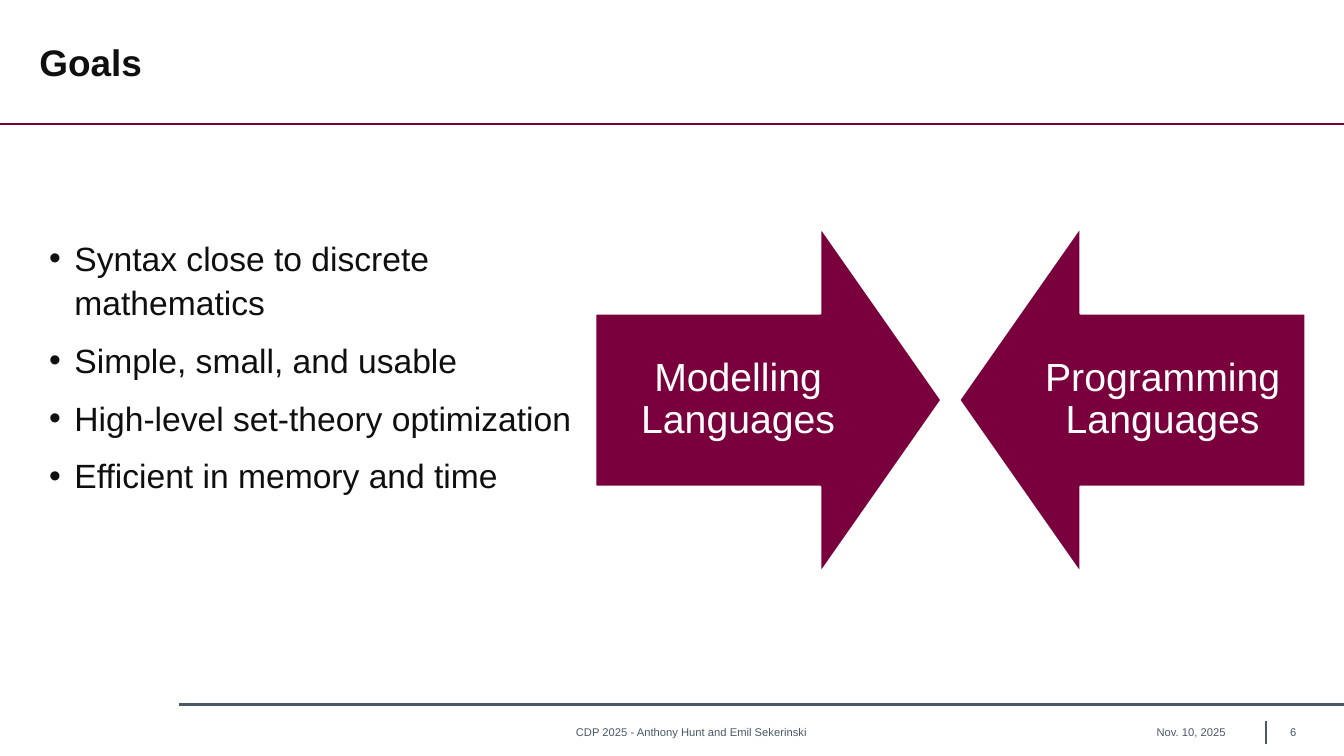
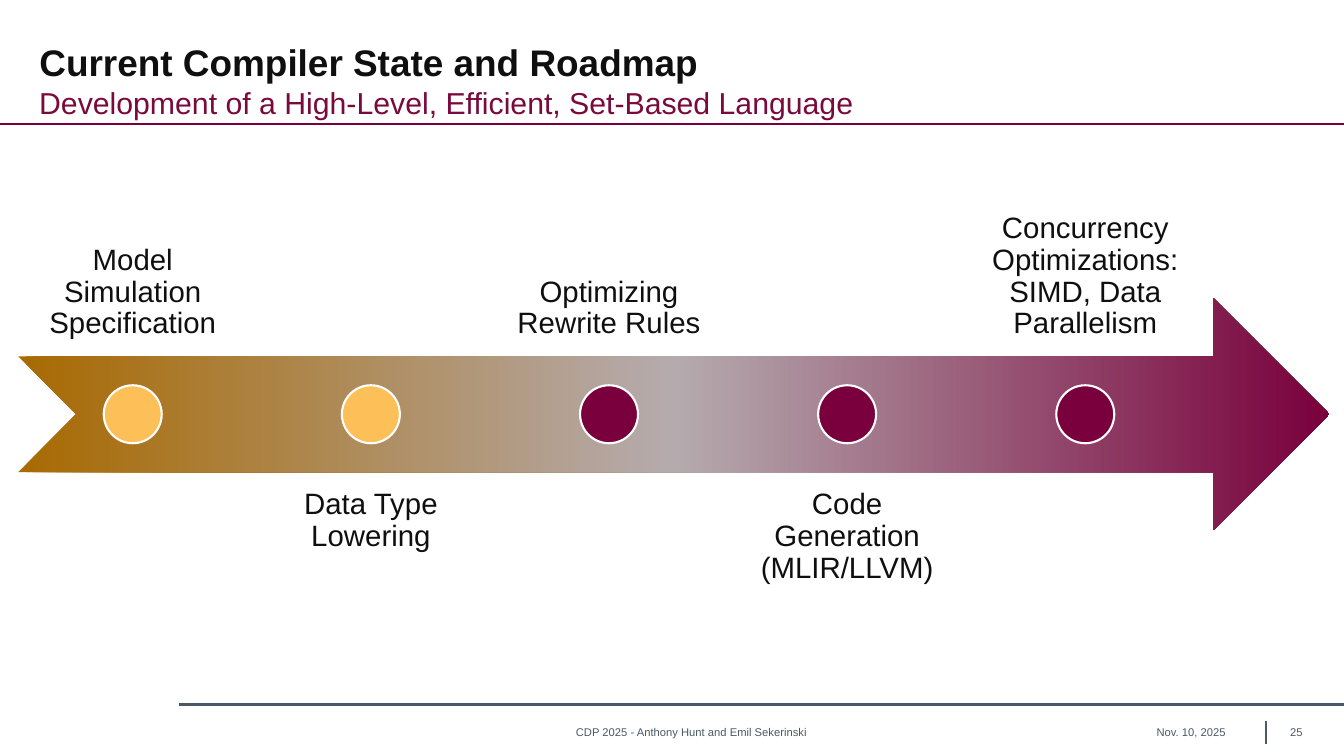
"""Build two slides: the goals of the language and the compiler roadmap."""
from copy import deepcopy

from lxml.etree import SubElement
from pptx import Presentation
from pptx.dml.color import RGBColor
from pptx.enum.shapes import MSO_SHAPE as Preset
from pptx.enum.text import MSO_ANCHOR as Anchor, MSO_AUTO_SIZE as AutoSize, PP_ALIGN as Align
from pptx.oxml.ns import qn
from pptx.util import Pt

COLORS = {
    "ink": "0F0F0F", "maroon": "79003C", "subtitle": "7A093C", "slate": "495965",
    "white": "FFFFFF", "amber": "FDBF57", "bronze": "A86A02", "silver": "B5ABAE",
}
FONT = "Arial"
WIDTH, HEIGHT = 960, 540
TITLE_ONLY = 5

RULES = [
    ((128, 503.3), (WIDTH, 503.3), "slate", 1.75),
    ((904.3, 514.8), (904.3, 531.4), "slate", 1),
    ((0, 88.6), (WIDTH, 88.6), "maroon", 1.75),
]
FOOTER_TOP, FOOTER_HEIGHT = 514.8, 16.6
FOOTERS = [
    ("Nov. 10, 2025", 761, 121.7, Align.RIGHT),
    ("CDP 2025 - Anthony Hunt and Emil Sekerinski", 226.8, 534.2, Align.CENTER),
]

GOALS = [
    "Syntax close to discrete mathematics",
    "Simple, small, and usable",
    "High-level set-theory optimization",
    "Efficient in memory and time",
]
ARROWS = [
    ("Modelling Languages", Preset.RIGHT_ARROW, 425.2),
    ("Programming Languages", Preset.LEFT_ARROW, 685.2),
]
ARROW_TOP, ARROW_SIZE = 162.1, 247.3

ROADMAP = [
    ("Model Simulation Specification", "amber"),
    ("Data Type Lowering", "amber"),
    ("Optimizing Rewrite Rules", "maroon"),
    ("Code Generation (MLIR/LLVM)", "maroon"),
    ("Concurrency Optimizations: SIMD, Data Parallelism", "maroon"),
]
TIMELINE = (13, 213.1, 936.6, 165.6)
TIMELINE_STOPS = [(0, "bronze"), (0.5, "silver"), (1, "maroon")]
LABEL_LEFT, LABEL_STEP, LABEL_WIDTH, LABEL_HEIGHT = 13.8, 170.1, 162, 165.6
LABEL_ROWS = [(89.3, Anchor.BOTTOM), (337.7, Anchor.TOP)]
DOT_SIZE = 41.4


def rgb(name):
    """Return the named colour."""
    return RGBColor.from_string(COLORS[name])


def write(box, lines, size, color, align=Align.LEFT, anchor=Anchor.TOP, bold=False,
          spacing=1.0, before=0, after=0, inset=None):
    """Fill a shape with paragraphs in one style."""
    frame = box.text_frame
    frame.text = "\n".join(lines)
    frame.word_wrap = True
    frame.auto_size = AutoSize.NONE
    frame.vertical_anchor = anchor
    if inset is not None:
        frame.margin_left = frame.margin_right = Pt(inset)
        frame.margin_top = frame.margin_bottom = Pt(inset)
    for para in frame.paragraphs:
        para.alignment = align
        para.line_spacing = spacing
        para.space_before, para.space_after = Pt(before), Pt(after)
        for span in para.runs:
            span.font.name, span.font.size, span.font.bold = FONT, Pt(size), bold
            span.font.color.rgb = rgb(color)
    return box


def add_text(page, place, lines, size, color, **style):
    """Add a text box at left, top, width, height."""
    box = page.shapes.add_textbox(*map(Pt, place))
    return write(box, lines, size, color, **style)


def add_preset(page, preset, place, fill=None, outline=None):
    """Add a flat preset shape."""
    shape = page.shapes.add_shape(preset, *map(Pt, place))
    shape.shadow.inherit = False
    if fill:
        shape.fill.solid()
        shape.fill.fore_color.rgb = rgb(fill)
    if outline:
        shape.line.color.rgb = rgb(outline)
        shape.line.width = Pt(1.5)
    else:
        shape.line.fill.background()
    return shape


def add_rule(page, start, end, color, width):
    """Add a straight line without shadow."""
    rule = page.shapes.add_connector(1, *map(Pt, start + end))
    rule.line.color.rgb = rgb(color)
    rule.line.width = Pt(width)
    SubElement(rule._element.spPr, qn("a:effectLst"))


def add_bullets(box, indent):
    """Give every paragraph a hanging bullet."""
    for para in box.text_frame.paragraphs:
        props = para._p.get_or_add_pPr()
        props.set("marL", str(Pt(indent)))
        props.set("indent", str(-Pt(indent)))
        SubElement(props, qn("a:buFont")).set("typeface", FONT)
        SubElement(props, qn("a:buChar")).set("char", "•")


def blend(shape, stops):
    """Fill a shape with a left-to-right gradient."""
    shape.fill.gradient()
    shape.fill.gradient_angle = 0
    stop_list = shape._element.spPr.find(qn("a:gradFill")).find(qn("a:gsLst"))
    while len(stop_list) < len(stops):
        stop_list.append(deepcopy(stop_list[0]))
    for stop, (position, color) in zip(shape.fill.gradient_stops, stops):
        stop.position = position
        stop.color.rgb = rgb(color)


def add_page(deck, title, number, subtitle=None):
    """Add a slide with title, rules and footer."""
    page = deck.slides.add_slide(deck.slide_layouts[TITLE_ONLY])
    for rule in RULES:
        add_rule(page, *rule)
    heading = page.shapes.title
    heading.left, heading.top, heading.width, heading.height = map(Pt, (20.9, 21.6, 918.7, 34.6))
    write(heading, [title], 26.4, "ink", bold=True, spacing=1.1, after=6)
    if subtitle:
        add_text(page, (20.9, 59.8, 918.7, 27.4), [subtitle], 21.6, "subtitle",
                 spacing=0.9, before=10)
    for text, left, width, align in FOOTERS + [(str(number), 914.4, 36, Align.LEFT)]:
        add_text(page, (left, FOOTER_TOP, width, FOOTER_HEIGHT), [text], 8, "slate",
                 align=align, anchor=Anchor.MIDDLE)
    return page


def build_goals(deck):
    """Add the goals beside two arrows that meet."""
    page = add_page(deck, "Goals", 6)
    goals = add_text(page, (28.1, 163.4, 390.2, 222.5), GOALS, 24, "ink", spacing=1.1, after=9.6)
    add_bullets(goals, 18)
    for text, preset, left in ARROWS:
        arrow = add_preset(page, preset, (left, ARROW_TOP, ARROW_SIZE, ARROW_SIZE),
                           "maroon", "white")
        arrow.adjustments[0], arrow.adjustments[1] = 0.5, 0.35
        write(arrow, [text], 28, "white", align=Align.CENTER, anchor=Anchor.MIDDLE,
              spacing=0.9, inset=15.7)


def build_roadmap(deck):
    """Add the timeline with alternating milestone labels."""
    page = add_page(deck, "Current Compiler State and Roadmap", 25,
                    "Development of a High-Level, Efficient, Set-Based Language")
    blend(add_preset(page, Preset.NOTCHED_RIGHT_ARROW, TIMELINE), TIMELINE_STOPS)
    dot_top = TIMELINE[1] + (TIMELINE[3] - DOT_SIZE) / 2
    for index, (text, color) in enumerate(ROADMAP):
        left = LABEL_LEFT + index * LABEL_STEP
        top, anchor = LABEL_ROWS[index % 2]
        add_text(page, (left, top, LABEL_WIDTH, LABEL_HEIGHT), [text], 21, "ink",
                 align=Align.CENTER, anchor=anchor, spacing=0.9, inset=11.8)
        dot_left = left + (LABEL_WIDTH - DOT_SIZE) / 2
        add_preset(page, Preset.OVAL, (dot_left, dot_top, DOT_SIZE, DOT_SIZE), color, "white")


def main():
    """Build and save the deck."""
    deck = Presentation()
    deck.slide_width, deck.slide_height = Pt(WIDTH), Pt(HEIGHT)
    build_goals(deck)
    build_roadmap(deck)
    deck.save("out.pptx")


if __name__ == "__main__":
    main()
